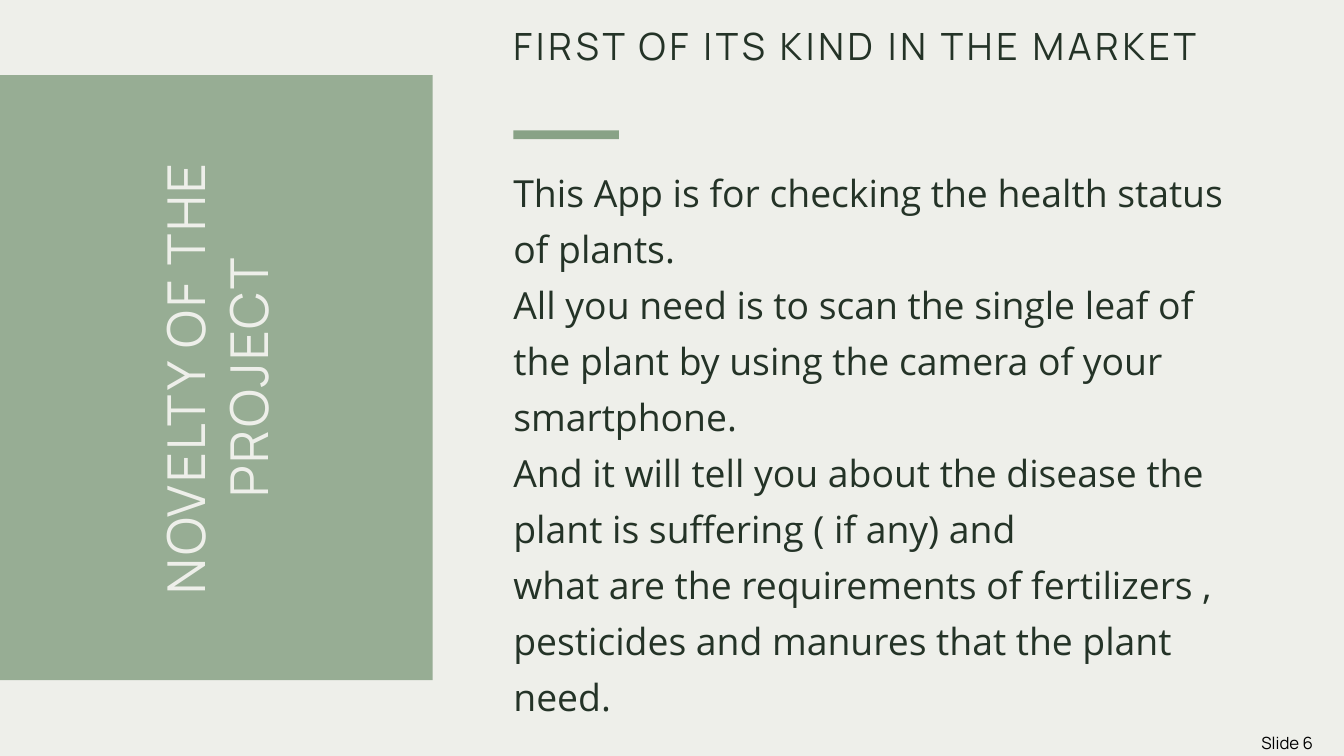
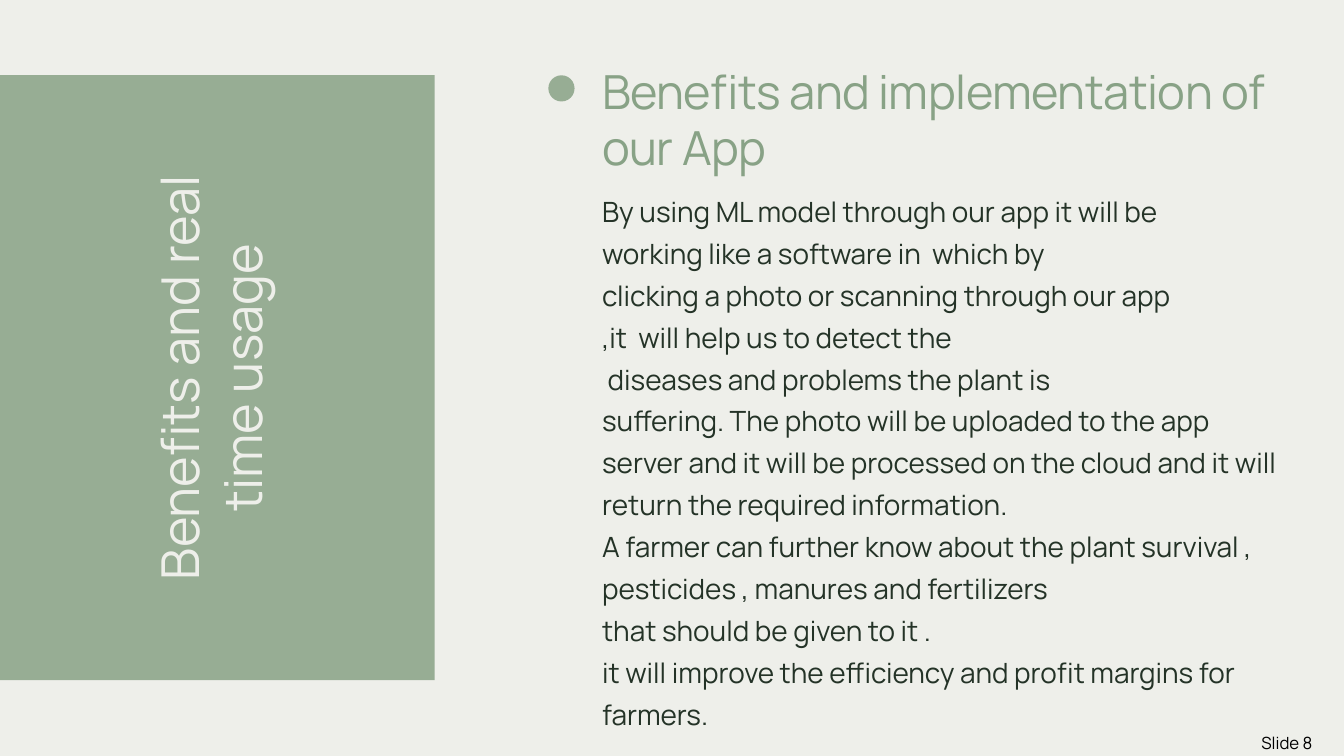
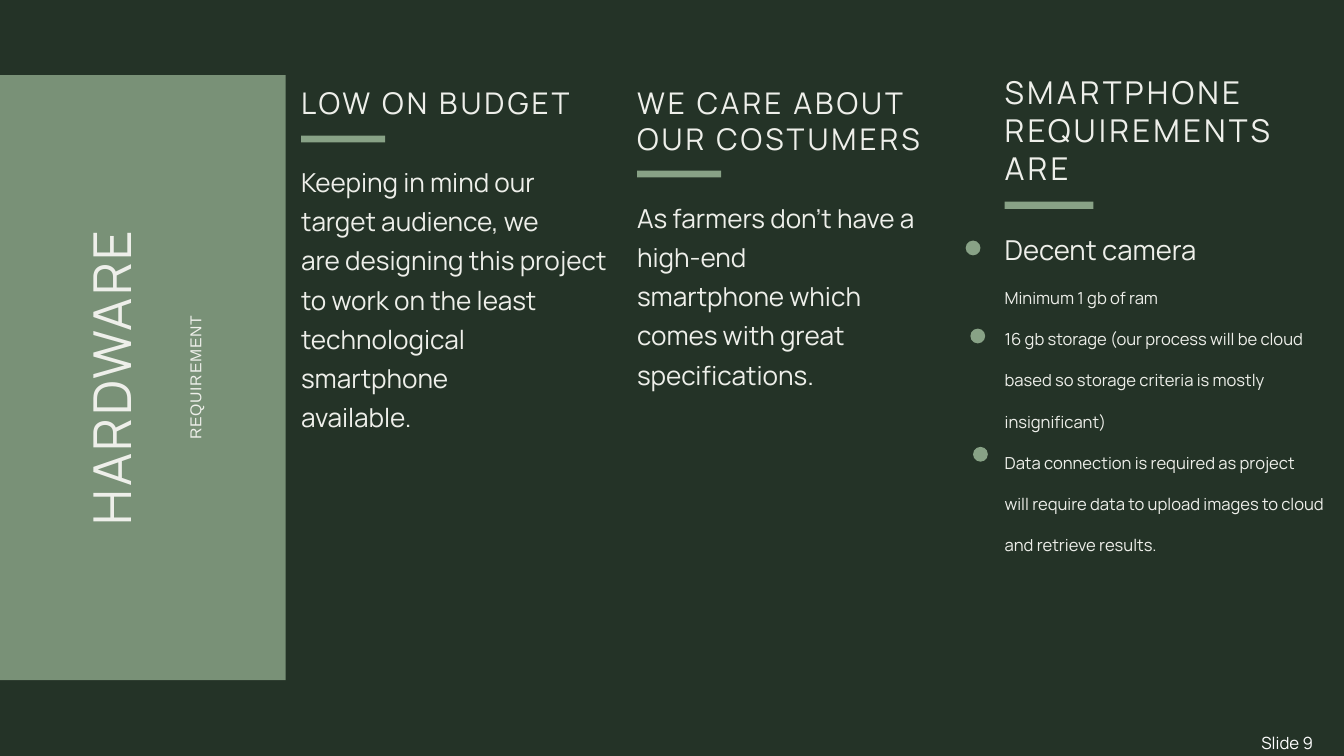
from dataclasses import dataclass, replace

from lxml import etree
from pptx import Presentation
from pptx import util as u
from pptx.dml import color
from pptx.enum import shapes, text
from pptx.oxml import ns

PX = 9144
SAGE, FOREST, PAPER = "88A286", "243327", "EEEFEA"
BLACK, WHITE = "000000", "FFFFFF"


@dataclass(frozen=True)
class Style:
    size: float
    color: str
    leading: float = 0
    tracking: float = 0
    font: str = "Manrope"
    align: text.PP_ALIGN = text.PP_ALIGN.LEFT


TITLE = Style(56, PAPER, 67.2, 2.8, align=text.PP_ALIGN.CENTER)
COLUMN_HEAD = Style(32, PAPER, 38.4, 3.2)
COLUMN_BODY = Style(28, PAPER, 42)


def rgb(value):
    return color.RGBColor.from_string(value)


def place(sp, box):
    sp.left, sp.top, sp.width, sp.height = [n * PX for n in box]


def write(sp, lines, style):
    tf = sp.text_frame
    tf.word_wrap = True
    tf.auto_size = text.MSO_AUTO_SIZE.NONE
    tf.vertical_anchor = text.MSO_ANCHOR.TOP
    tf.margin_left = tf.margin_top = tf.margin_right = tf.margin_bottom = 0
    for i, line in enumerate(lines):
        words, look = (line, style) if isinstance(line, str) else line
        p = tf.add_paragraph() if i else tf.paragraphs[0]
        p.text = words
        p.alignment = look.align
        p.space_before = u.Pt(0)
        if look.leading:
            p.line_spacing = u.Pt(look.leading)
        for r in p.runs:
            r.font.size = u.Pt(look.size)
            r.font.name = look.font
            r.font.color.rgb = rgb(look.color)
            if look.tracking:
                r.font._element.set("spc", str(round(look.tracking * 100)))


def add_text(slide, box, lines, style):
    sp = slide.shapes.add_textbox(0, 0, 0, 0)
    place(sp, box)
    write(sp, lines, style)


def add_block(slide, kind, box, opacity=100):
    sp = slide.shapes.add_shape(kind, 0, 0, 0, 0)
    place(sp, box)
    sp.shadow.inherit = False
    sp.line.fill.background()
    sp.fill.solid()
    sp.fill.fore_color.rgb = rgb(SAGE)
    if opacity < 100:
        clr = sp._element.spPr.find(".//" + ns.qn("a:srgbClr"))
        etree.SubElement(clr, ns.qn("a:alpha")).set("val", str(opacity * 1000))
    return sp


def add_dot(slide, x, y, size, opacity=100):
    add_block(slide, shapes.MSO_SHAPE.OVAL, (x, y, size, size), opacity)


def add_rule(slide, x, y, w, h):
    add_block(slide, shapes.MSO_SHAPE.RECTANGLE, (x, y, w, h))


def add_slide(prs, number, background, ink, band, title_box, title, style=TITLE):
    slide = prs.slides.add_slide(prs.slide_layouts[5])
    slide.background.fill.solid()
    slide.background.fill.fore_color.rgb = rgb(background)
    sp = slide.shapes.title
    place(sp, title_box)
    sp.rotation = 270
    write(sp, title, style)
    x, w = band
    panel = add_block(slide, shapes.MSO_SHAPE.RECTANGLE, (x, 112, w, 900), 85)
    sp._element.addprevious(panel._element)
    add_text(slide, (1877, 1090, 120, 30), [f"Slide {number}"], Style(18, ink))
    return slide


def add_column(slide, x, w, head, rule, body, head_style, body_style):
    head_y, head_h, head_lines = head
    body_y, body_h, body_lines = body
    add_text(slide, (x, head_y, w, head_h), head_lines, head_style)
    add_rule(slide, x, *rule)
    add_text(slide, (x, body_y, w, body_h), body_lines, body_style)


def add_novelty(prs):
    slide = add_slide(prs, 6, PAPER, BLACK, (-23, 667), (-64, 469, 771, 186),
                      ["NOVELTY OF THE PROJECT"])
    add_column(slide, 764, 1080,
               (34, 133, ["FIRST OF ITS KIND IN THE MARKET"]),
               (194, 157, 13),
               (237, 817, [
                   "This App is for checking the health status of plants.",
                   "All you need is to scan the single leaf of the plant by using "
                   "the camera of your smartphone.",
                   "And it will tell you about the disease the plant is suffering "
                   "( if any) and",
                   "what are the requirements of fertilizers , pesticides and "
                   "manures that the plant need.",
               ]),
               Style(40.2, FOREST, 48.2, 4),
               Style(40, FOREST, 60, font="Open Sans"))


def add_benefits(prs):
    slide = add_slide(prs, 8, PAPER, BLACK, (-20, 667), (-68, 469, 760, 186),
                      ["Benefits and real time usage"], replace(TITLE, tracking=0))
    add_dot(slide, 816, 112, 39, 85)
    add_text(slide, (896, 93, 1030, 166),
             ["Benefits and implementation of our App"],
             Style(50.3, SAGE, 60.3, -0.5))
    add_text(slide, (896, 277, 1030, 797), [
        "By using ML model through our app it will be",
        "working like a software in  which by",
        "clicking a photo or scanning through our app",
        ",it  will help us to detect the",
        " diseases and problems the plant is",
        "suffering. The photo will be uploaded to the app server and it will be "
        "processed on the cloud and it will return the required information.",
        "A farmer can further know about the plant survival , pesticides , "
        "manures and fertilizers",
        "that should be given to it .",
        "it will improve the efficiency and profit margins for farmers.",
    ], Style(29.9, FOREST, 44.9))


def add_hardware(prs):
    subtitle = replace(TITLE, size=16.9, tracking=0.8, font="Arial")
    slide = add_slide(prs, 9, FOREST, WHITE, (-23, 448), (-175, 469, 771, 186),
                      ["HARDWARE", ("REQUIREMENT", subtitle)])
    add_column(slide, 448, 458,
               (126, 54, ["LOW ON BUDGET"]),
               (202, 125, 10),
               (236, 397, [
                   "Keeping in mind our target audience, we",
                   "are designing this project to work on the least "
                   "technological smartphone",
                   "available.",
               ]), COLUMN_HEAD, COLUMN_BODY)
    add_column(slide, 948, 458,
               (126, 106, ["WE CARE ABOUT OUR COSTUMERS"]),
               (254, 125, 10),
               (289, 282, [
                   "As farmers don’t have a high-end",
                   "smartphone which comes with great specifications.",
               ]), COLUMN_HEAD, COLUMN_BODY)
    detail = Style(17.8, PAPER, 44.2)
    add_column(slide, 1495, 482,
               (109, 168, ["SMARTPHONE", "REQUIREMENTS ARE"]),
               (300, 132, 11),
               (335, 661, [
                   ("Decent camera", replace(detail, size=29.4)),
                   "Minimum 1 gb of ram",
                   "16 gb storage (our process will be cloud",
                   "based so storage criteria is mostly insignificant)",
                   "Data connection is required as project",
                   "will require data to upload images to cloud and retrieve results.",
               ]), Style(33.7, PAPER, 40.4, 3.4), detail)
    for x, y in ((1437, 358), (1444, 489), (1448, 665)):
        add_dot(slide, x, y, 22)


def main():
    prs = Presentation()
    prs.slide_width, prs.slide_height = 2000 * PX, 1125 * PX
    add_novelty(prs)
    add_benefits(prs)
    add_hardware(prs)
    prs.save("out.pptx")


if __name__ == "__main__":
    main()
